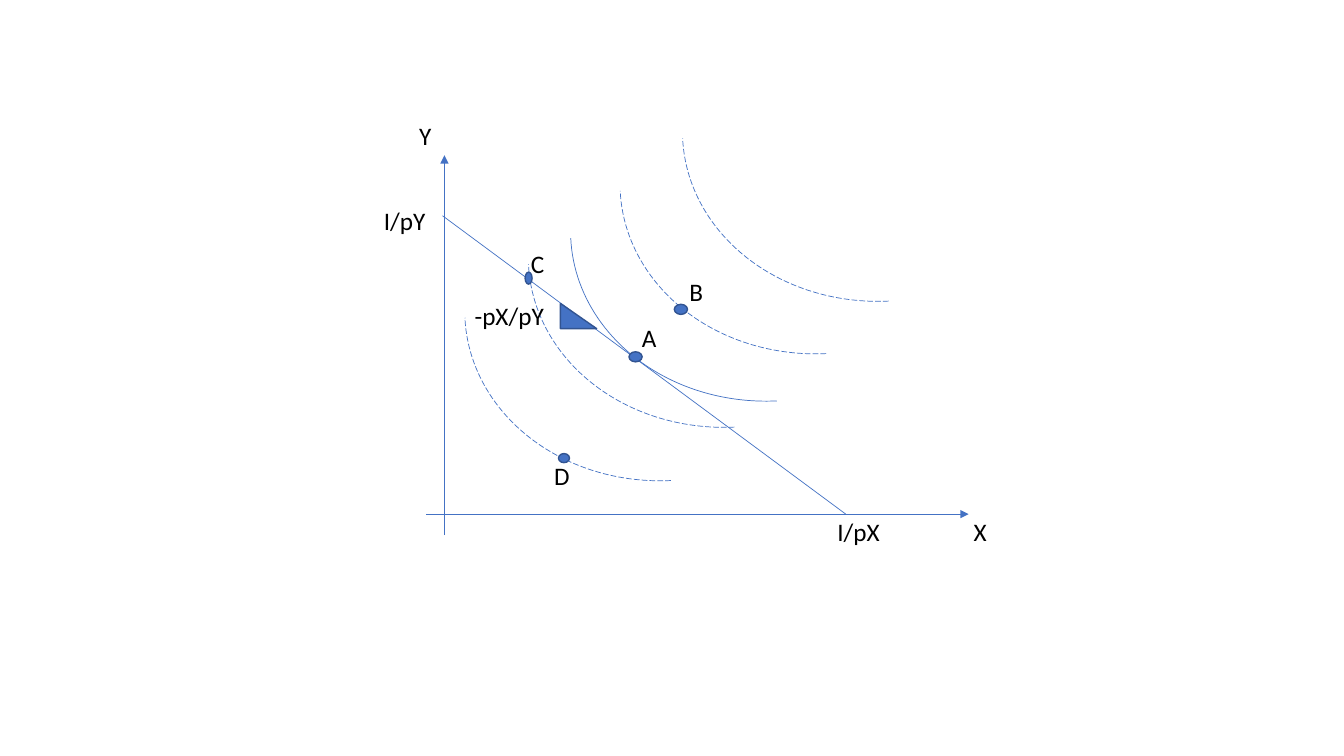
"""Draw a consumer choice diagram with a budget line and indifference curves."""
import dataclasses
import typing

import lxml.etree
import pptx
import pptx.dml.color
import pptx.enum.dml
import pptx.enum.shapes
import pptx.enum.text
import pptx.oxml.ns
import pptx.util

Pt = pptx.util.Pt
RGBColor = pptx.dml.color.RGBColor
Preset = pptx.enum.shapes.MSO_SHAPE
BLUE = RGBColor(0x44, 0x72, 0xC4)
DARK_BLUE = RGBColor(0x32, 0x54, 0x91)
BLACK = RGBColor(0, 0, 0)
LABEL_HEIGHT = 29
CURVE_WIDTH, CURVE_HEIGHT, CURVE_ROTATION = 283, 246.2, 177.3
THIN, OUTLINE = Pt(0.5), Pt(1)
FRAME_FORMAT = {"auto_size": pptx.enum.text.MSO_AUTO_SIZE.SHAPE_TO_FIT_TEXT}
FONT_FORMAT = {"name": "Calibri", "size": Pt(18)}


@dataclasses.dataclass(frozen=True)
class Segment:
    start: tuple[float, float]
    end: tuple[float, float]
    arrow: bool = False


@dataclasses.dataclass(frozen=True)
class Curve:
    left: float
    top: float
    dashed: bool = True


@dataclasses.dataclass(frozen=True)
class Marker:
    preset: Preset
    left: float
    top: float
    width: float
    height: float


@dataclasses.dataclass(frozen=True)
class Label:
    text: str
    left: float
    top: float
    width: float
    wrap: bool = False


X_AXIS = Segment((304.6, 367.2), (691.9, 367.2), arrow=True)
Y_AXIS = Segment((317.5, 382.3), (317.5, 110.9), arrow=True)
BUDGET_LINE = Segment((604.1, 367.2), (316.1, 154.1))
CURVES = (
    Curve(331.9, 97.2),
    Curve(377.3, 59),
    Curve(407.5, 40.3, dashed=False),
    Curve(442.8, 6.5),
    Curve(487.4, -31),
)
MARKERS = (
    Marker(Preset.RIGHT_TRIANGLE, 400.3, 216.7, 25.9, 18),
    Marker(Preset.OVAL, 449.3, 251.3, 9.4, 7.2),
    Marker(Preset.OVAL, 481.7, 217.4, 9.4, 7.2),
    Marker(Preset.OVAL, 375.1, 194.4, 5, 8.6),
    Marker(Preset.OVAL, 398.9, 324, 7.9, 6.5),
)
LABELS = (
    Label("X", 688.3, 365, 23.8),
    Label("Y", 292.3, 82.1, 23),
    Label("I/pX", 591.1, 365, 45.4),
    Label("I/pY", 267.1, 143.3, 59.8, wrap=True),
    Label("-pX/pY", 331.9, 211, 64.8),
    Label("A", 451.4, 226.8, 25.2),
    Label("B", 485.3, 193.7, 24.5),
    Label("C", 372.2, 173.5, 24.5),
    Label("D", 388.8, 325.4, 25.9),
)


def apply_format(target: typing.Any, values: dict[str, typing.Any]) -> None:
    for name, value in values.items():
        setattr(target, name, value)


def format_line(line: typing.Any, color: RGBColor, values: dict[str, typing.Any]) -> None:
    line.fill.solid()
    line.fill.fore_color.rgb = color
    apply_format(line, values)


def draw_segment(shapes: typing.Any, segment: Segment) -> None:
    connector = shapes.add_connector(
        pptx.enum.shapes.MSO_CONNECTOR.STRAIGHT,
        *(Pt(length) for length in segment.start + segment.end),
    )
    format_line(connector.line, BLUE, {"width": THIN})
    properties = connector._element.spPr
    if segment.arrow:
        line = properties.find(pptx.oxml.ns.qn("a:ln"))
        lxml.etree.SubElement(line, pptx.oxml.ns.qn("a:tailEnd"), type="triangle")
    lxml.etree.SubElement(properties, pptx.oxml.ns.qn("a:effectLst"))


def draw_curve(shapes: typing.Any, curve: Curve) -> None:
    bounds = (curve.left, curve.top, CURVE_WIDTH, CURVE_HEIGHT)
    shape = shapes.add_shape(Preset.ARC, *(Pt(length) for length in bounds))
    shape.rotation = CURVE_ROTATION
    shape.shadow.inherit = False
    shape.fill.background()
    line_format = {"width": THIN}
    if curve.dashed:
        line_format["dash_style"] = pptx.enum.dml.MSO_LINE.LONG_DASH
    format_line(shape.line, BLUE, line_format)


def draw_marker(shapes: typing.Any, marker: Marker) -> None:
    bounds = (marker.left, marker.top, marker.width, marker.height)
    shape = shapes.add_shape(marker.preset, *(Pt(length) for length in bounds))
    shape.shadow.inherit = False
    shape.fill.solid()
    shape.fill.fore_color.rgb = BLUE
    format_line(shape.line, DARK_BLUE, {"width": OUTLINE})


def draw_label(shapes: typing.Any, label: Label) -> None:
    bounds = (label.left, label.top, label.width, LABEL_HEIGHT)
    frame = shapes.add_textbox(*(Pt(length) for length in bounds)).text_frame
    apply_format(frame, FRAME_FORMAT | {"word_wrap": label.wrap})
    run = frame.paragraphs[0].add_run()
    run.text = label.text
    apply_format(run.font, FONT_FORMAT)
    run.font.color.rgb = BLACK


def main() -> None:
    presentation = pptx.Presentation()
    apply_format(presentation, {"slide_width": Pt(960), "slide_height": Pt(540)})
    slide = presentation.slides.add_slide(presentation.slide_layouts[6])
    for segment in (Y_AXIS, X_AXIS, BUDGET_LINE):
        draw_segment(slide.shapes, segment)
    for curve in CURVES:
        draw_curve(slide.shapes, curve)
    for marker in MARKERS:
        draw_marker(slide.shapes, marker)
    for label in LABELS:
        draw_label(slide.shapes, label)
    presentation.save("out.pptx")


main()
